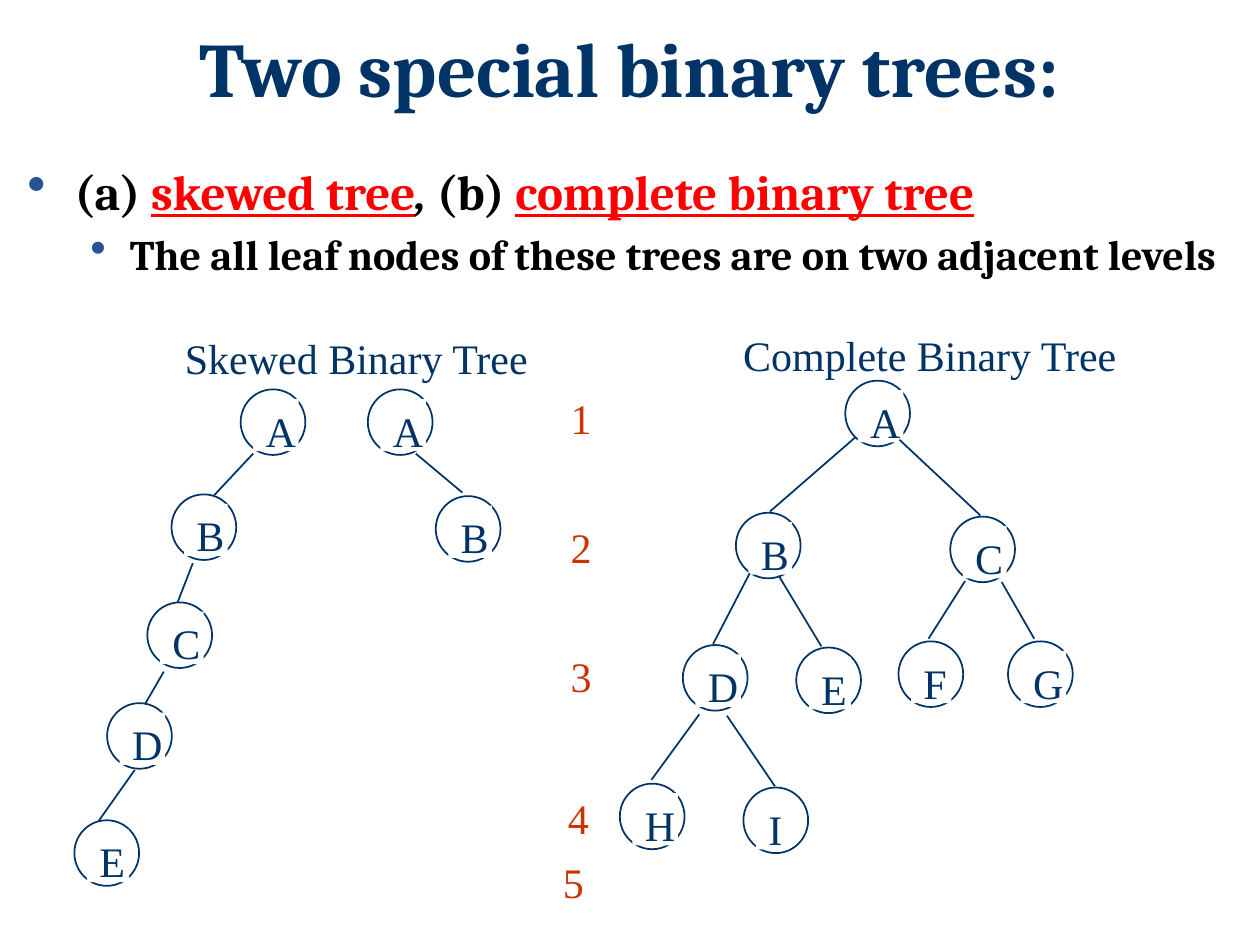
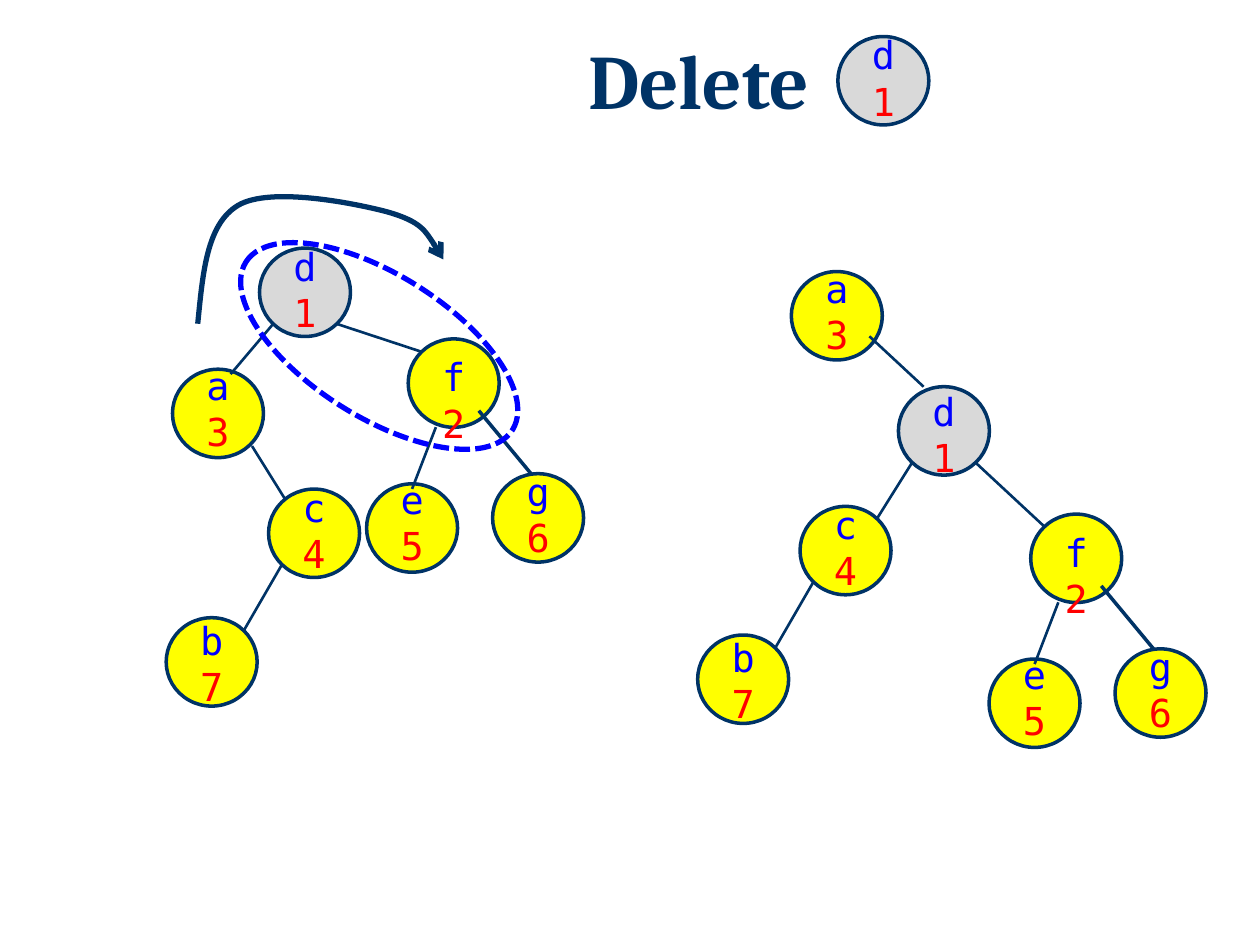
from lxml import etree
from pptx import Presentation, util as u
from pptx.dml.color import RGBColor
from pptx.enum import dml, shapes, text
from pptx.oxml.ns import qn

NAVY, BLUE, RED, RUST = "003366", "0000FF", "FF0000", "CC3300"
YELLOW, GREY, WHITE, BLACK, DOT = "FFFF00", "D9D9D9", "FFFFFF", "000000", "275393"
SERIF, ROMAN, MONO = "Cambria", "Times New Roman", "DejaVu Sans Mono"
LEFT, MID = text.PP_ALIGN.LEFT, text.PP_ALIGN.CENTER
OVAL, RECT = shapes.MSO_SHAPE.OVAL, shapes.MSO_SHAPE.RECTANGLE
WIDTHS = dict(A=26, B=25, C=25, D=26, E=24, F=23, G=26, H=26, I=19)
RANKS = {"a": ("3", -7.5), "b": ("7", -4), "c": ("4", -6.5), "d": ("1", -6.5),
         "e": ("5", -8), "f": ("2", 4.7), "g": ("6", -7)}


def tint(code):
    return RGBColor.from_string(code)


class Deck:
    """Hold the style and the current slide, and draw each kind of element."""

    def __init__(self):
        self.prs = Presentation()
        self.prs.slide_width, self.prs.slide_height = u.Pt(720), u.Pt(540)
        self.page = None

    def start(self):
        self.page = self.prs.slides.add_slide(self.prs.slide_layouts[6]).shapes

    def run(self, para, words, size, face, color, **marks):
        run = para.add_run()
        run.text = words
        font = run.font
        font.size, font.name, font.color.rgb = u.Pt(size), face, tint(color)
        for mark, value in marks.items():
            setattr(font, mark, value)

    def box(self, x, y, w, h, wrap=True):
        frame = self.page.add_textbox(u.Pt(x), u.Pt(y), u.Pt(w), u.Pt(h)).text_frame
        frame.word_wrap = wrap
        return frame

    def label(self, words, x, y, w, h, color=NAVY):
        para = self.box(x, y, w, h).paragraphs[0]
        self.run(para, words, 24, ROMAN, color)

    def title(self, words, x, y, w, h):
        para = self.box(x, y, w, h).paragraphs[0]
        para.alignment, para.line_spacing = MID, 0.9
        self.run(para, words, 44, SERIF, NAVY, bold=True)

    def bullet(self, para, left, hang):
        props = para._p.get_or_add_pPr()
        props.set("marL", str(u.Pt(left)))
        props.set("indent", str(u.Pt(-hang)))
        hue = etree.SubElement(props, qn("a:buClr"))
        etree.SubElement(hue, qn("a:srgbClr"), val=DOT)
        etree.SubElement(props, qn("a:buSzPct"), val="110000")
        etree.SubElement(props, qn("a:buChar"), char="•")

    def paint(self, item, fill=None, line=None, width=1):
        item.shadow.inherit = False
        if fill:
            item.fill.solid()
            item.fill.fore_color.rgb = tint(fill)
        else:
            item.fill.background()
        if line:
            item.line.color.rgb, item.line.width = tint(line), u.Pt(width)
        else:
            item.line.fill.background()
        return item

    def shape(self, kind, x, y, w, h, home=None, **look):
        home = home or self.page
        item = home.add_shape(kind, u.Pt(x), u.Pt(y), u.Pt(w), u.Pt(h))
        return self.paint(item, **look)

    def edge(self, x1, y1, x2, y2, width=1.0):
        line = self.page.add_connector(
            shapes.MSO_CONNECTOR.STRAIGHT, u.Pt(x1), u.Pt(y1), u.Pt(x2), u.Pt(y2))
        line.line.color.rgb, line.line.width = tint(NAVY), u.Pt(width)
        etree.SubElement(line._element.spPr, qn("a:effectLst"))

    def node(self, name, x, y):
        home = self.page.add_group_shape().shapes
        self.shape(OVAL, x, y, 37, 37.5, home, fill=WHITE, line=NAVY)
        tag = self.shape(RECT, x + 7.2, y + 5.4, WIDTHS[name], 30, home, fill=WHITE)
        frame = tag.text_frame
        frame.word_wrap, frame.vertical_anchor = False, text.MSO_ANCHOR.TOP
        frame.margin_right = 0
        frame.paragraphs[0].alignment = LEFT
        self.run(frame.paragraphs[0], name, 24, ROMAN, NAVY)

    def ball(self, name, x, y, fill=YELLOW, drop=0):
        rank, rise = RANKS[name]
        self.shape(OVAL, x, y, 52, 50.5, fill=fill, line=NAVY, width=2)
        frame = self.box(x + 12, y + rise + drop, 28, 60.5, False)
        for para, words, color in ((frame.paragraphs[0], name, BLUE),
                                   (frame.add_paragraph(), rank, RED)):
            para.alignment = MID
            self.run(para, words, 22, MONO, color)

    def pair(self, x, y):
        self.ball("b", x - 58.5, y + 73.5)
        self.ball("c", x, y)
        self.edge(x - 14, y + 80.5, x + 7.7, y + 43, 1.5)

    def trio(self, x, y):
        self.ball("e", x - 23.8, y + 82.8)
        self.edge(x + 15.8, y + 50.4, x + 2.2, y + 85.7, 1.5)
        self.ball("f", x, y)
        self.edge(x + 40.3, y + 41, x + 72, y + 79.2, 2)
        self.ball("g", x + 48.2, y + 77)

    def swoop(self, first, *rest):
        pen = self.page.build_freeform(*map(u.Pt, first))
        pen.add_line_segments([(u.Pt(x), u.Pt(y)) for x, y in rest], close=False)
        item = self.paint(pen.convert_to_shape(), line=NAVY, width=3)
        lines = list(item._element.iter(qn("a:lnTo")))
        track = lines[0].getparent()
        for i in range(0, len(lines), 3):
            curve = etree.SubElement(track, qn("a:cubicBezTo"))
            for line in lines[i:i + 3]:
                curve.append(line[0])
                track.remove(line)
        etree.SubElement(item.line._get_or_add_ln(), qn("a:tailEnd"), type="arrow")


def special(deck):
    deck.start()
    deck.title("Two special binary trees:", 36, 14.4, 648, 79)
    frame = deck.box(8.6, 88.6, 700.6, 113)
    top, sub = frame.paragraphs[0], frame.add_paragraph()
    deck.bullet(top, 27, 27)
    for words, color, marks in (
            ("(a) ", BLACK, {}), ("skewed tree", RED, {"underline": True}),
            (",", BLACK, {"italic": True}), (" (b) ", BLACK, {}),
            ("complete binary tree", RED, {"underline": True})):
        deck.run(top, words, 28, SERIF, color, bold=True, **marks)
    sub.level = 1
    deck.bullet(sub, 58.5, 22.5)
    sub.space_before = u.Pt(5)
    deck.run(sub, "The all leaf nodes of these trees are on two adjacent levels",
             24, SERIF, BLACK, bold=True)

    for name, x, y in (
            ("A", 137.5, 222.5), ("B", 98, 282.5), ("C", 84.2, 344.2),
            ("D", 61.2, 401.8), ("E", 42.5, 468.7),
            ("A", 210.2, 222.5), ("B", 249, 283.5),
            ("A", 483, 217.5), ("B", 420.5, 293), ("C", 543, 295.2),
            ("D", 390.2, 368.6), ("E", 455, 370), ("F", 513.4, 366.5),
            ("G", 576, 366.5), ("H", 354.2, 447.8), ("I", 424.8, 450)):
        deck.node(name, x, y)
    for ends in (
            (144.7, 259.2, 122.4, 283), (110.2, 321.8, 101.5, 344.2),
            (93.6, 383.8, 82.8, 402.5), (77, 440, 56.2, 469.4),
            (237.6, 259.2, 264.2, 281.5),
            (488.9, 249.8, 440, 292.3), (514, 251.3, 560.2, 294.5),
            (428.4, 327.6, 407.5, 368), (445, 329, 469.4, 369.4),
            (551.5, 332, 530.6, 365), (572.4, 332.6, 591, 365),
            (399.6, 408.2, 372.2, 445.7), (415.4, 409, 442.8, 449.3)):
        deck.edge(*ends)
    deck.label("Skewed Binary Tree", 98.6, 186.5, 220.3, 36.7)
    deck.label("Complete Binary Tree", 417.6, 185, 231.8, 36.7)
    for level, (x, y) in enumerate(
            ((319, 221), (319, 294.5), (319, 368), (317.5, 449.3), (314.6, 486)), 1):
        deck.label(str(level), x, y, 21.6, 31, RUST)


def delete(deck):
    deck.start()
    deck.title("Delete ", 116, 20.9, 576, 66)
    deck.ball("d", 478.8, 20.9, GREY)

    deck.ball("a", 98.6, 211)
    deck.edge(144, 254.9, 170, 296.6, 1.5)
    deck.pair(153.5, 279.5)
    deck.ball("d", 148.3, 141.8, GREY)
    deck.edge(156.2, 185, 131.8, 213.8, 1.5)
    deck.trio(233.3, 193.7)
    deck.edge(192.2, 185, 240.5, 200.9, 1.5)
    ring = deck.shape(OVAL, 126.7, 157, 180, 81.4, line=BLUE, width=3)
    ring.rotation = 32.2
    ring.line.dash_style = dml.MSO_LINE.SQUARE_DOT

    deck.ball("a", 452.2, 155.2)
    deck.edge(496.8, 192.2, 527.8, 221, 1.5)
    deck.pair(457.2, 289.4)
    deck.ball("d", 513.4, 221, GREY, 3.5)
    deck.edge(521.3, 264.2, 501, 296.6, 1.5)
    deck.trio(589, 293.8)
    deck.edge(557.3, 264.2, 596.9, 301, 1.5)

    deck.swoop((113, 185), (115.9, 156.2), (118, 128.2), (136, 117.4),
               (154, 106.6), (201.6, 115.9), (221, 121),
               (241.2, 126.7), (247, 137.5), (253.4, 148.3))


def main():
    deck = Deck()
    special(deck)
    delete(deck)
    deck.prs.save("out.pptx")


if __name__ == "__main__":
    main()
